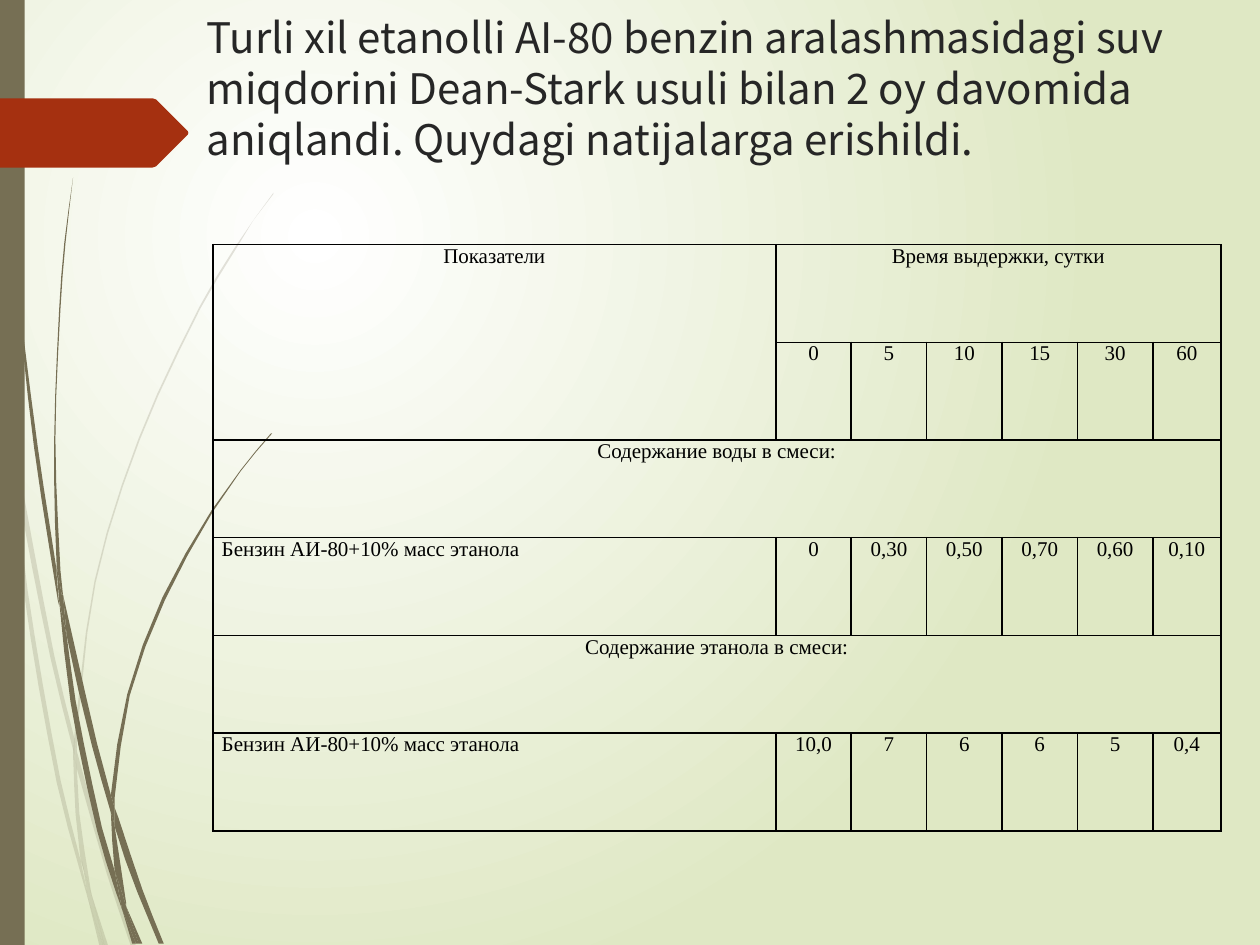
from dataclasses import dataclass
from math import dist

from lxml import etree
from pptx import Presentation
from pptx.dml.color import RGBColor
from pptx.enum.shapes import MSO_SHAPE
from pptx.enum.text import MSO_ANCHOR, MSO_AUTO_SIZE, PP_ALIGN
from pptx.oxml.ns import qn
from pptx.util import Cm, Pt

RECTANGLE = MSO_SHAPE.RECTANGLE
TOP = MSO_ANCHOR.TOP
NO_AUTOFIT = MSO_AUTO_SIZE.NONE
LEFT, CENTER, JUSTIFY = PP_ALIGN.LEFT, PP_ALIGN.CENTER, PP_ALIGN.JUSTIFY

COLORS = {"olive": "766F54", "rust": "A53010", "title": "262626",
          "ink": "000000", "white": "FFFFFF", "lime": "DFE8C4"}
GRID = Cm(0.0254)  # unit of the decoration coordinates
PIECE = 45  # longest straight piece of a curve, in grid units

Points = list[tuple[float, float]]


@dataclass
class Blade:
    """A grass piece bounded by two smooth edges, both read from its tip."""
    left: Points
    right: Points


@dataclass
class Entry:
    """A table cell with its position and span."""
    row: int
    column: int
    text: str
    rows: int = 1
    columns: int = 1
    alignment: PP_ALIGN = CENTER


PALE_BLADES = [
    Blade([(0, 282), (6, 322), (8, 350)], [(0, 299), (7, 344), (8, 350)]),
    Blade([(10, 345), (43, 520), (59, 586)], [(10, 345), (12, 376), (40, 522), (59, 599)]),
    Blade([(61, 596), (64, 607), (88, 692), (108, 751)], [(61, 610), (85, 694), (104, 751)]),
    Blade([(73, 711), (86, 751)], [(73, 711), (83, 751)]),
    Blade([(8, 350), (12, 376), (22, 469), (48, 619), (64, 683), (69, 707), (70, 714)],
          [(8, 350), (19, 470), (45, 621), (64, 693), (70, 714)]),
    Blade([(58, 599), (60, 646), (64, 683), (67, 692), (73, 711)],
          [(58, 599), (61, 608), (61, 610), (63, 646), (72, 706), (73, 711)]),
    Blade([(217, 153), (201, 175), (186, 197), (158, 244), (110, 348), (75, 461),
           (59, 584), (59, 586), (61, 596)],
          [(217, 154), (201, 175), (187, 198), (159, 245), (111, 349), (76, 462),
           (61, 584), (61, 596)]),
    Blade([(70, 714), (79, 751)], [(70, 714), (82, 751)]),
    Blade([(59, 586), (58, 599), (61, 608), (61, 610)], [(59, 586), (61, 596), (61, 610)]),
    Blade([(65, 683), (69, 707), (70, 714), (82, 751)],
          [(65, 683), (67, 692), (73, 711), (83, 751)]),
]
DARK_BLADES = [
    Blade([(2, 0), (3, 48), (5, 110), (14, 233), (27, 355), (46, 477), (47, 481)],
          [(3, 0), (4, 48), (6, 109), (15, 232), (30, 355), (45, 453), (45, 457), (47, 481)]),
    Blade([(50, 472), (53, 505), (73, 592), (88, 645)],
          [(50, 472), (77, 590), (88, 631), (88, 645)]),
    Blade([(91, 641), (91, 656), (109, 708), (126, 749)],
          [(91, 641), (94, 649), (113, 706), (130, 749)]),
    Blade([(47, 477), (56, 557), (77, 659), (92, 708), (97, 722)],
          [(47, 477), (53, 505), (60, 556), (81, 657), (91, 691), (96, 717), (97, 722)]),
    Blade([(58, 141), (51, 193), (47, 245), (43, 349), (45, 449), (49, 472)],
          [(58, 141), (52, 193), (48, 245), (44, 349), (48, 453), (50, 472)]),
    Blade([(100, 719), (110, 749)], [(100, 719), (113, 749)]),
    Blade([(45, 449), (45, 453), (47, 477), (53, 505)],
          [(45, 449), (49, 472), (50, 472), (53, 505)]),
    Blade([(215, 344), (203, 358), (191, 373), (168, 405), (129, 474), (101, 551),
           (88, 631), (91, 641)],
          [(216, 344), (203, 359), (191, 374), (169, 406), (131, 476), (103, 552),
           (91, 633), (91, 641)]),
    Blade([(97, 722), (105, 749)], [(97, 722), (108, 749)]),
    Blade([(88, 645), (91, 691), (96, 706), (100, 719)],
          [(88, 645), (90, 651), (91, 656), (100, 716), (100, 719)]),
    Blade([(88, 631), (88, 645), (90, 651), (91, 656)], [(88, 631), (91, 641), (91, 656)]),
    Blade([(91, 691), (96, 717), (97, 722), (108, 749)],
          [(91, 691), (96, 706), (100, 719), (110, 749)]),
]
ARROW = [(0, 78), (121, 78), (124, 79), (149, 104), (149.5, 105.5), (149, 107),
         (124, 132), (121, 133), (0, 133)]

TITLE = ("Turli xil etanolli AI-80 benzin aralashmasidagi suv miqdorini Dean-Stark usuli "
         "bilan 2 oy davomida aniqlandi. Quydagi natijalarga erishildi.")
MIXTURE = "Бензин АИ-80+10% масс этанола"
COLUMN_WIDTHS = [11.35] + [1.52] * 5 + [1.37]
ROW_COUNT, ROW_HEIGHT = 6, 1.97
VALUES = {1: ["0", "5", "10", "15", "30", "60"],
          3: ["0", "0,30", "0,50", "0,70", "0,60", "0,10"],
          5: ["10,0", "7", "6", "6", "5", "0,4"]}
ENTRIES = [
    Entry(0, 0, "Показатели", rows=2),
    Entry(0, 1, "Время выдержки, сутки", columns=6),
    Entry(2, 0, "Содержание воды в смеси:", columns=7),
    Entry(3, 0, MIXTURE, alignment=JUSTIFY),
    Entry(4, 0, "Содержание этанола в смеси:", columns=7),
    Entry(5, 0, MIXTURE, alignment=JUSTIFY),
] + [Entry(row, column, text) for row, texts in VALUES.items()
     for column, text in enumerate(texts, 1)]


def apply(target, values: dict) -> None:
    for name, value in values.items():
        setattr(target, name, value)


def color(name: str) -> RGBColor:
    return RGBColor.from_string(COLORS[name])


def paint(shape, name: str, opacity: int = 100) -> None:
    shape.shadow.inherit = False
    shape.fill.solid()
    shape.fill.fore_color.rgb = color(name)
    shape.line.fill.background()
    if opacity < 100:
        tone = shape.fill._xPr.find(".//" + qn("a:srgbClr"))
        etree.SubElement(tone, qn("a:alpha"), val=str(opacity * 1000))


def smooth(points: Points) -> Points:
    """Hermite curve through the points, with tangents weighted by chord length."""
    last = len(points) - 1
    lengths = [dist(a, b) for a, b in zip(points, points[1:])]
    tangents = []
    for i in range(last + 1):
        before, after = max(i - 1, 0), min(i + 1, last)
        span = sum(lengths[before:after])
        tangents.append([(b - a) / span for a, b in zip(points[before], points[after])])
    curve = [points[0]]
    for i, length in enumerate(lengths):
        steps = 1 + int(length // PIECE)
        for step in range(1, steps + 1):
            t = step / steps
            weights = (2 * t**3 - 3 * t**2 + 1, 3 * t**2 - 2 * t**3,
                       (t**3 - 2 * t**2 + t) * length, (t**3 - t**2) * length)
            parts = (points[i], points[i + 1], tangents[i], tangents[i + 1])
            curve.append(tuple(sum(w * p[axis] for w, p in zip(weights, parts))
                               for axis in (0, 1)))
    return curve


def draw_outline(shapes, points: Points, name: str, opacity: int = 100) -> None:
    corners = [(round(x * GRID), round(y * GRID)) for x, y in points]
    builder = shapes.build_freeform(*corners[0])
    builder.add_line_segments(corners[1:], close=True)
    paint(builder.convert_to_shape(), name, opacity)


def draw_borders(cell) -> None:
    properties = cell._tc.get_or_add_tcPr()
    for position, side in enumerate(("a:lnL", "a:lnR", "a:lnT", "a:lnB")):
        line = etree.Element(qn(side), w=str(Pt(1)))
        fill = etree.SubElement(line, qn("a:solidFill"))
        etree.SubElement(fill, qn("a:srgbClr"), val=COLORS["ink"])
        properties.insert(position, line)


presentation = Presentation()
apply(presentation, {"slide_width": Cm(25.4), "slide_height": Cm(19.05)})
slide = presentation.slides.add_slide(presentation.slide_layouts[5])

# Radial background
background = slide.background.fill
background.gradient()
for stop, name, position in zip(background.gradient_stops, ("white", "lime"), (0, 1)):
    stop.color.rgb = color(name)
    stop.position = position
gradient = slide.element.find(".//" + qn("a:gradFill"))
gradient.remove(gradient.find(qn("a:lin")))
radial = etree.SubElement(gradient, qn("a:path"), attrib={"path": "circle"})
etree.SubElement(radial, qn("a:fillToRect"), l="50000", t="50000", r="100000", b="100000")

# Grass, side bar and arrow
for blades, opacity in ((PALE_BLADES, 20), (DARK_BLADES, 100)):
    group = slide.shapes.add_group_shape()
    for blade in blades:
        outline = smooth(blade.left) + smooth(blade.right)[::-1]
        draw_outline(group.shapes, outline, "olive", opacity)
paint(slide.shapes.add_shape(RECTANGLE, 0, 0, Cm(0.5), Cm(19.05)), "olive")
draw_outline(slide.shapes, ARROW, "rust")

# Title
title = slide.shapes.title
apply(title, {"left": Cm(3.91), "top": 0, "width": Cm(21.49), "height": Cm(19.05)})
apply(title.text_frame, {"text": TITLE, "word_wrap": True, "auto_size": NO_AUTOFIT,
                         "vertical_anchor": TOP, "margin_top": Cm(0.23)})
paragraph = title.text_frame.paragraphs[0]
apply(paragraph, {"alignment": LEFT, "line_spacing": Pt(29)})
apply(paragraph.runs[0].font, {"name": "Noto Sans CJK SC", "size": Pt(24)})
paragraph.runs[0].font.color.rgb = color("title")

# Table
table = slide.shapes.add_table(ROW_COUNT, len(COLUMN_WIDTHS), Cm(4.29), Cm(4.93),
                               Cm(sum(COLUMN_WIDTHS)), Cm(ROW_COUNT * ROW_HEIGHT)).table
apply(table, {"first_row": False, "horz_banding": False})
for column, width in zip(table.columns, COLUMN_WIDTHS):
    column.width = Cm(width)
for cell in table.iter_cells():
    cell.fill.background()
    draw_borders(cell)
    apply(cell, {"margin_left": Cm(0.18), "margin_right": Cm(0.18),
                 "margin_top": 0, "margin_bottom": 0})
for entry in ENTRIES:
    cell = table.cell(entry.row, entry.column)
    if entry.rows * entry.columns > 1:
        cell.merge(table.cell(entry.row + entry.rows - 1, entry.column + entry.columns - 1))
    cell.text = entry.text
    paragraph = cell.text_frame.paragraphs[0]
    paragraph.alignment = entry.alignment
    apply(paragraph.runs[0].font, {"name": "Times New Roman", "size": Pt(12)})
    paragraph.runs[0].font.color.rgb = color("ink")

presentation.save("out.pptx")
